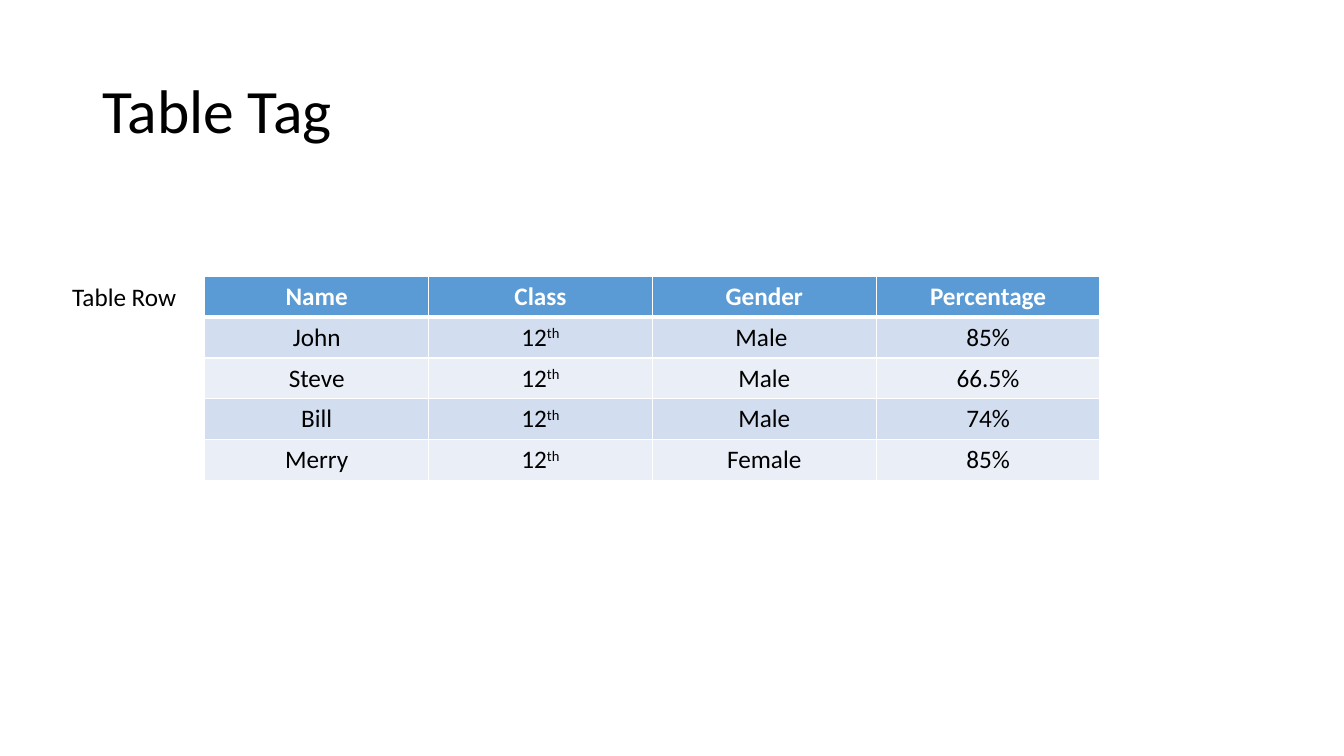
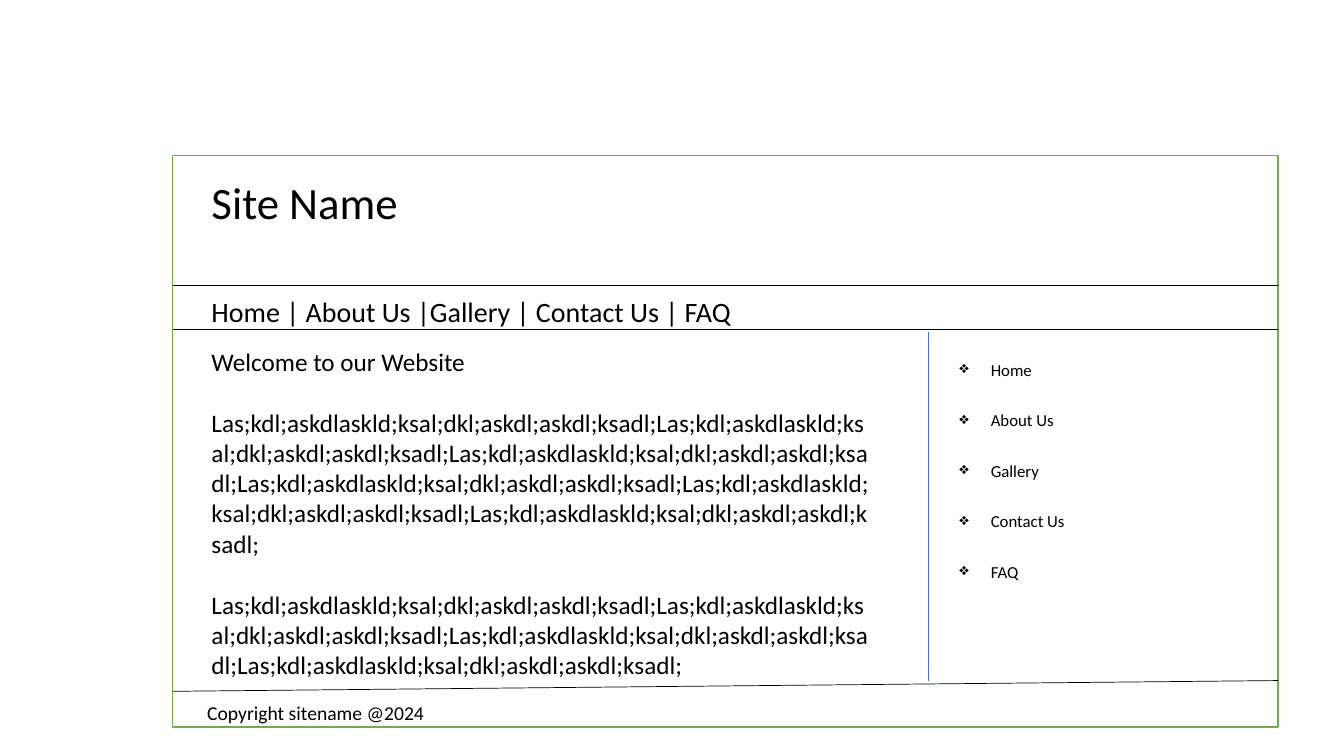
from lxml.etree import SubElement
from pptx import Presentation
from pptx.dml.color import RGBColor
from pptx.enum.shapes import MSO_CONNECTOR, MSO_SHAPE
from pptx.enum.text import MSO_ANCHOR, MSO_AUTO_SIZE, PP_ALIGN
from pptx.oxml.ns import qn
from pptx.util import Cm, Pt

FONT = "Calibri"
BLACK = RGBColor(0x00, 0x00, 0x00)
WHITE = RGBColor(0xFF, 0xFF, 0xFF)
HEADER = RGBColor(0x5B, 0x9B, 0xD5)
BANDS = (RGBColor(0xD2, 0xDE, 0xEF), RGBColor(0xEA, 0xEF, 0xF7))
GREEN = RGBColor(0x70, 0xAD, 0x47)
BLUE = RGBColor(0x44, 0x72, 0xC4)

STUDENTS = [
    ["Name", "Class", "Gender", "Percentage"],
    ["John", "12^th", "Male ", "85%"],
    ["Steve", "12^th", "Male", "66.5%"],
    ["Bill", "12^th", "Male", "74%"],
    ["Merry", "12^th", "Female", "85%"],
]
FILLER = "Las;kdl;askdlaskld;ksal;dkl;askdl;askdl;ksadl;"
MENU = ["Home", "About Us", "Gallery", "Contact Us", "FAQ"]


def add_run(p, text, size, color=BLACK, bold=False):
    """Add one formatted run to a paragraph."""
    r = p.add_run()
    r.text = text
    r.font.name = FONT
    r.font.size = Pt(size)
    r.font.bold = bold
    r.font.color.rgb = color
    return r


def add_text(s, x, y, w, h, paragraphs, size, wrap=False, gap=0):
    """Add a text box and return its text frame."""
    tf = s.shapes.add_textbox(Cm(x), Cm(y), Cm(w), Cm(h)).text_frame
    tf.word_wrap = wrap
    tf.auto_size = MSO_AUTO_SIZE.SHAPE_TO_FIT_TEXT
    for i, text in enumerate(paragraphs):
        p = tf.add_paragraph() if i else tf.paragraphs[0]
        if i and gap:
            p.space_before = Pt(gap)
        add_run(p, text, size)
    return tf


def add_title(s, text):
    """Add the slide title."""
    tf = add_text(s, 2.33, 1.01, 29.21, 3.68, [text], 44, wrap=True)
    tf.auto_size = MSO_AUTO_SIZE.NONE
    tf.vertical_anchor = MSO_ANCHOR.MIDDLE
    tf.paragraphs[0].line_spacing = 0.9


def add_bullets(tf, indent, spacing):
    """Turn the paragraphs of a text frame into a bulleted list."""
    for p in tf.paragraphs:
        p.line_spacing = spacing
        pPr = p._p.get_or_add_pPr()
        pPr.set("marL", str(Cm(indent)))
        pPr.set("indent", str(-Cm(indent)))
        SubElement(pPr, qn("a:buChar"), char="❖")


def add_line(s, x1, y1, x2, y2, color=BLACK):
    """Add a thin straight line."""
    c = s.shapes.add_connector(MSO_CONNECTOR.STRAIGHT, Cm(x1), Cm(y1), Cm(x2), Cm(y2))
    c.line.color.rgb = color
    c.line.width = Pt(0.5)
    SubElement(c._element.spPr, qn("a:effectLst"))


def add_frame(s, x, y, w, h):
    """Add the outline of the web page."""
    sp = s.shapes.add_shape(MSO_SHAPE.RECTANGLE, Cm(x), Cm(y), Cm(w), Cm(h))
    sp.shadow.inherit = False
    sp.fill.solid()
    sp.fill.fore_color.rgb = WHITE
    sp.line.color.rgb = GREEN
    sp.line.width = Pt(1)


def set_borders(cell, top, bottom):
    """Draw white borders around a table cell."""
    tcPr = cell._tc.get_or_add_tcPr()
    for side, width in (("L", 1), ("R", 1), ("T", top), ("B", bottom)):
        ln = SubElement(tcPr, qn(f"a:ln{side}"), w=str(Pt(width)))
        fill = SubElement(ln, qn("a:solidFill"))
        SubElement(fill, qn("a:srgbClr"), val=str(WHITE))


def fill_cell(cell, text, row):
    """Style one table cell and write its text; ^ starts a superscript."""
    head = row == 0
    set_borders(cell, 3 if row == 1 else 1, 3 if head else 1)
    cell.fill.solid()
    cell.fill.fore_color.rgb = HEADER if head else BANDS[(row - 1) % 2]
    p = cell.text_frame.paragraphs[0]
    p.alignment = PP_ALIGN.CENTER
    base, _, raised = text.partition("^")
    color = WHITE if head else BLACK
    add_run(p, base, 18, color, head)
    if raised:
        r = add_run(p, raised, 18, color, head)
        r._r.get_or_add_rPr().set("baseline", "30000")


def add_grid(s, x, y, col_w, row_h, rows):
    """Add a banded table with equal columns and rows."""
    n_rows, n_cols = len(rows), len(rows[0])
    table = s.shapes.add_table(
        n_rows, n_cols, Cm(x), Cm(y), Cm(col_w * n_cols), Cm(row_h * n_rows)
    ).table
    for col in table.columns:
        col.width = Cm(col_w)
    for i, values in enumerate(rows):
        table.rows[i].height = Cm(row_h)
        for j, text in enumerate(values):
            fill_cell(table.cell(i, j), text, i)


def build_table_slide(s):
    """Build the table tag slide."""
    add_title(s, "Table Tag")
    add_grid(s, 5.16, 6.96, 5.64, 1.03, STUDENTS)
    add_text(s, 1.57, 6.96, 3.18, 1.03, ["Table Row"], 18)


def build_website_slide(s):
    """Build the website layout slide."""
    left, top, width, height = 4.35, 3.92, 27.86, 14.4
    right, text_x = left + width, 5.08
    nav_top, nav_bottom, foot_left, foot_right = 7.19, 8.31, 17.42, 17.15

    add_frame(s, left, top, width, height)
    for y1, y2 in ((nav_top,) * 2, (nav_bottom,) * 2, (foot_left, foot_right)):
        add_line(s, left, y1, right, y2)
    add_line(s, 23.4, 8.36, 23.4, foot_right, BLUE)

    add_text(s, text_x, 4.27, 5.26, 1.63, ["Site Name"], 32)
    add_text(s, text_x, 7.3, 13.74, 1.12, ["Home | About Us |Gallery | Contact Us | FAQ"], 20)
    body = ["Welcome to our Website", FILLER * 6, FILLER * 4]
    add_text(s, text_x, 8.59, 17.17, 9.5, body, 18, wrap=True, gap=22)
    add_bullets(add_text(s, 23.93, 8.18, 3.2, 6.45, MENU, 12), 0.79, 2.5)
    add_text(s, 4.97, 17.55, 6.05, 0.86, ["Copyright sitename @2024"], 14)


def main():
    """Build and save the presentation."""
    prs = Presentation()
    prs.slide_width, prs.slide_height = Cm(33.87), Cm(19.05)
    for build in (build_table_slide, build_website_slide):
        build(prs.slides.add_slide(prs.slide_layouts[6]))
    prs.save("out.pptx")


if __name__ == "__main__":
    main()
